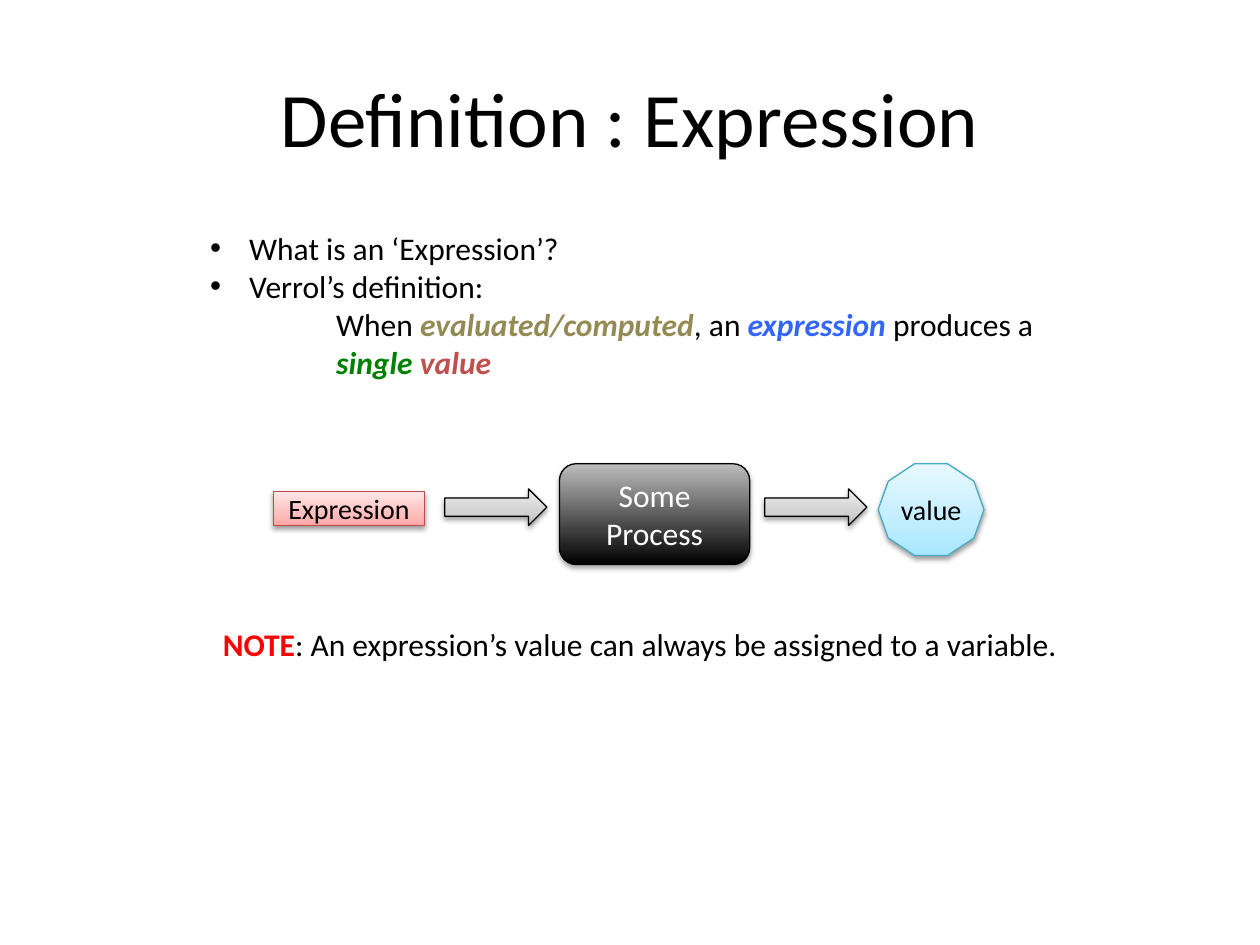
from lxml import etree
from pptx import Presentation
from pptx.dml.color import RGBColor
from pptx.enum.shapes import MSO_SHAPE
from pptx.enum.text import MSO_ANCHOR, MSO_AUTO_SIZE, PP_ALIGN
from pptx.oxml import parse_xml
from pptx.oxml.ns import nsdecls, qn
from pptx.util import Inches, Pt

ARROW = MSO_SHAPE.RIGHT_ARROW
ROUND = MSO_SHAPE.FLOWCHART_ALTERNATE_PROCESS
DECAGON = MSO_SHAPE.DECAGON
RECT = MSO_SHAPE.RECTANGLE
MIDDLE = MSO_ANCHOR.MIDDLE
CENTER = PP_ALIGN.CENTER
GROW = MSO_AUTO_SIZE.SHAPE_TO_FIT_TEXT

THEME = {
    "font": "Calibri", "title": 44, "body": 18, "label": 16, "line": 0.75,
    "black": "000000", "white": "FFFFFF", "olive": "948A54",
    "blue": "3366FF", "green": "008000", "brick": "C0504D", "red": "FF0000",
    "gray": ("BDBDBD", "D1D1D1", "EEEEEE"),
    "dark": ("000000", "BDBDBD"),
    "sky": ("A7E6FF", "C1EDFF", "E7F8FF"), "teal": "46AAC5",
    "pink": ("FFA6A5", "FFC0BF", "FFE7E7"), "rust": "BF4C48",
}

deck = Presentation()
deck.slide_width, deck.slide_height = Inches(10), Inches(7.5)
slide = deck.slides.add_slide(deck.slide_layouts[6])
COL, ROW = deck.slide_width / 100, deck.slide_height / 100


def grid(x, y, w, h):
    return round(x * COL), round(y * ROW), round(w * COL), round(h * ROW)


def write(para, parts, size):
    para.font.name = THEME["font"]
    para.font.size = Pt(THEME[size])
    hues = {hue for _, hue, _, _ in parts}
    for text, hue, bold, slant in parts:
        run = para.add_run()
        run.text = text
        font = para.font if len(hues) == 1 else run.font
        font.color.rgb = RGBColor.from_string(THEME[hue])
        if bold:
            run.font.bold = True
        if slant:
            run.font.italic = True


title = slide.shapes.add_textbox(*grid(5, 4, 90, 16.67)).text_frame
title.word_wrap = True
title.vertical_anchor = MIDDLE
title.paragraphs[0].alignment = CENTER
write(title.paragraphs[0], [("Definition : Expression", "black", False, False)], "title")

body = slide.shapes.add_textbox(*grid(15.7, 23.6, 69.3, 17.47)).text_frame
body.word_wrap = True
body.auto_size = GROW
points = [
    (True, [("What is an ‘Expression’?", "black", False, False)]),
    (True, [("Verrol’s definition:", "black", False, False)]),
    (False, [
        ("When ", "black", False, False),
        ("evaluated/computed", "olive", True, True),
        (", an ", "black", False, False),
        ("expression", "blue", True, True),
        (" produces a ", "black", False, False),
        ("single ", "green", True, True),
        ("value", "brick", True, True),
    ]),
]
for rank, (dot, parts) in enumerate(points):
    para = body.add_paragraph() if rank else body.paragraphs[0]
    props = para._p.get_or_add_pPr()
    props.set("marL", str(Inches(0.31 if dot else 1)))
    props.set("indent", str(Inches(-0.31 if dot else 0)))
    if dot:
        etree.SubElement(props, qn("a:buFont")).set("typeface", "Arial")
        etree.SubElement(props, qn("a:buChar")).set("char", "•")
    else:
        para.level = 2
    write(para, parts, "body")

flow = [
    (ARROW, (35.3, 51.73, 8.1, 3.87), "gray", "black", 38, 1.6, None),
    (ROUND, (44.4, 49.07, 15.1, 10.67), "dark", "black", 35, 1.8, ("Some Process", "white", "body")),
    (ARROW, (60.7, 51.73, 8.1, 3.87), "gray", "black", 38, 1.6, None),
    (DECAGON, (69.7, 49.07, 8.4, 9.73), "sky", "teal", 38, 1.6, ("value", "black", "label")),
    (RECT, (21.7, 52, 12, 3.6), "pink", "rust", 38, 1.6, ("Expression", "black", "label")),
]
for kind, place, tint, edge, shade, drop, label in flow:
    shape = slide.shapes.add_shape(kind, *grid(*place))
    shape.fill.gradient()
    shape.fill.gradient_angle = 90
    stops = shape._element.spPr.find(qn("a:gradFill")).find(qn("a:gsLst"))
    for stop in list(stops):
        stops.remove(stop)
    hues = THEME[tint]
    for pos, hue in zip((0, 35, 100) if len(hues) == 3 else (0, 100), hues):
        stop = etree.SubElement(stops, qn("a:gs"), pos=str(pos * 1000))
        etree.SubElement(stop, qn("a:srgbClr"), val=hue)
    shape.line.color.rgb = RGBColor.from_string(THEME[edge])
    shape.line.width = Pt(THEME["line"])
    shape.shadow.inherit = False
    shape._element.spPr.find(qn("a:effectLst")).append(parse_xml(
        f'<a:outerShdw {nsdecls("a")} blurRad="{Pt(3.1)}" dist="{Pt(drop)}" dir="5400000" rotWithShape="0">'
        f'<a:srgbClr val="{THEME["black"]}"><a:alpha val="{shade * 1000}"/></a:srgbClr></a:outerShdw>'))
    if label:
        text, hue, size = label
        frame = shape.text_frame
        frame.word_wrap = True
        frame.vertical_anchor = MIDDLE
        frame.paragraphs[0].alignment = CENTER
        write(frame.paragraphs[0], [(text, hue, False, False)], size)

note = slide.shapes.add_textbox(*grid(16.7, 65.47, 69.4, 5.33)).text_frame
note.word_wrap = False
note.auto_size = GROW
write(note.paragraphs[0], [
    ("NOTE", "red", True, False),
    (": An expression’s value can always be assigned to a variable.", "black", False, False),
], "body")

deck.save("out.pptx")
